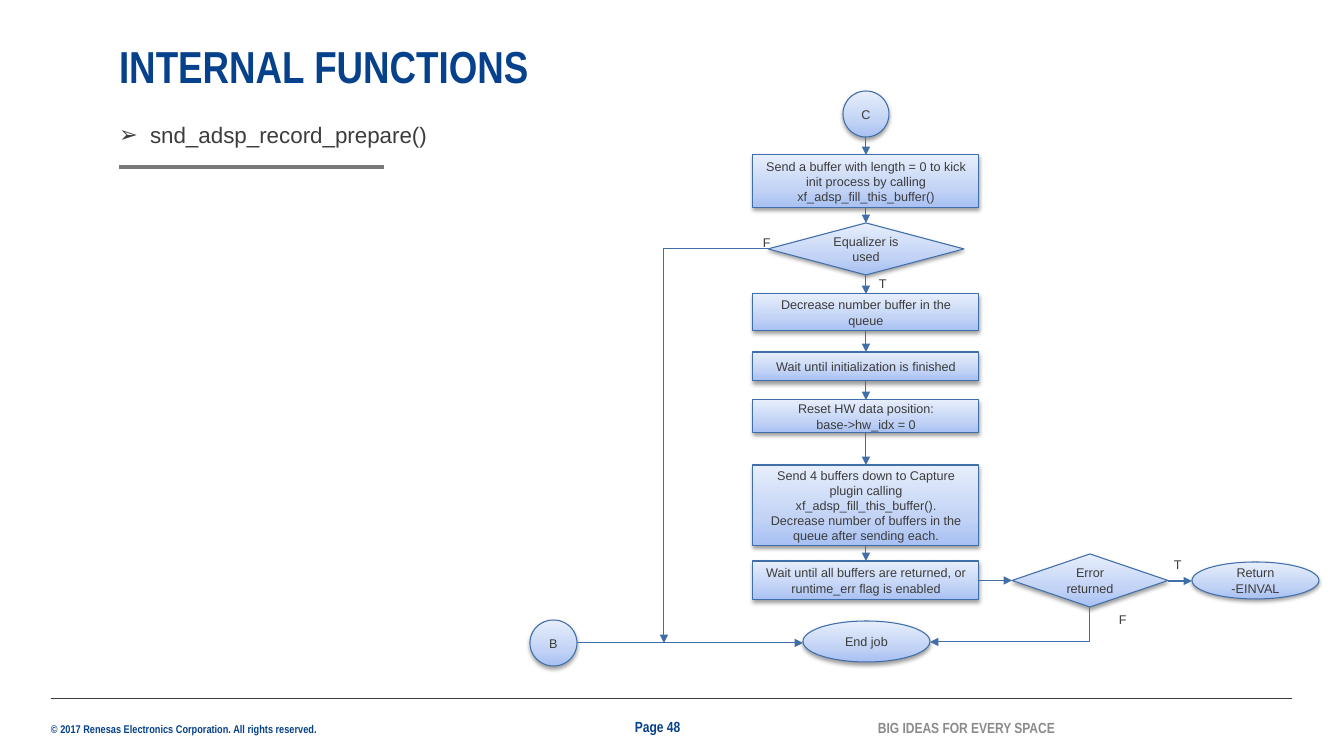
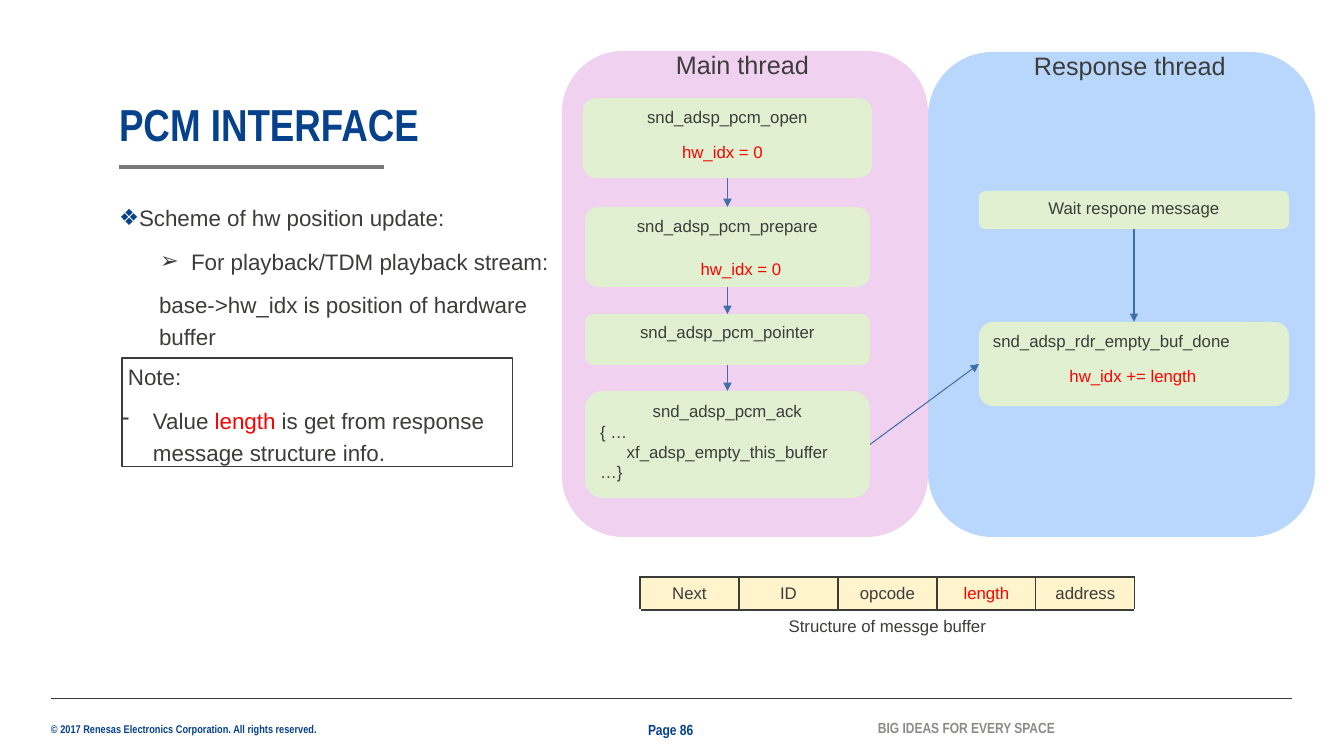
import dataclasses
import itertools

import lxml.etree
import pptx
import pptx.dml.color
import pptx.enum.shapes
import pptx.enum.text
import pptx.oxml.ns
import pptx.util

SCALE = 914400 / 100.8
NAVY, INK, BLUE, RED = "06418C", "3C3C3B", "406EA8", "FF0000"
RULE_GRAY, TAGLINE_GRAY = "797979", "8B8B89"
PINK, SKY, GREEN, CREAM = "F0D1F0", "B9D7FC", "E0F0D1", "FFF4CC"
NODE_STOPS = ((0, "A7C0F3"), (35, "C2D3F5"), (100, "E7EEFC"))
BODY, NARROW = "Arial", "Arial Narrow"
KIND = pptx.enum.shapes.MSO_SHAPE
LINK = pptx.enum.shapes.MSO_CONNECTOR
ANCHOR = pptx.enum.text.MSO_ANCHOR
ALIGN = {"l": pptx.enum.text.PP_ALIGN.LEFT, "c": pptx.enum.text.PP_ALIGN.CENTER}
TOP, LEFT, BOTTOM, RIGHT = range(4)


def px(length):
    """Turn pixels into EMU."""
    return pptx.util.Emu(round(length * SCALE))


def color(value):
    """Turn a hex string into a colour."""
    return pptx.dml.color.RGBColor.from_string(value)


def add_element(parent, tag, **attributes):
    """Append a drawing element with the given attributes."""
    name = pptx.oxml.ns.qn(f"a:{tag}")
    return lxml.etree.SubElement(parent, name, {key: str(value) for key, value in attributes.items()})


def add_solid(parent, value):
    """Append a solid fill."""
    add_element(add_element(parent, "solidFill"), "srgbClr", val=value)


def set_font(para, size, ink=INK, name=BODY, bold=False):
    """Set the font of a whole paragraph."""
    para.font.size = pptx.util.Pt(size)
    para.font.name = name
    para.font.bold = bold
    para.font.color.rgb = color(ink)


def prepare_frame(frame, anchor=ANCHOR.TOP, inset=None, wrap=True):
    """Set anchor, wrapping and margins of a text frame."""
    frame.auto_size = pptx.enum.text.MSO_AUTO_SIZE.NONE
    frame.word_wrap = wrap
    frame.vertical_anchor = anchor
    if inset is not None:
        frame.margin_left = frame.margin_right = px(inset)
        frame.margin_top = frame.margin_bottom = px(inset)


def write(frame, text, size, align="l", **font):
    """Write one paragraph per line, cycling through the alignments."""
    for index, (line, side) in enumerate(zip(text.split("\n"), itertools.cycle(align))):
        para = frame.add_paragraph() if index else frame.paragraphs[0]
        para.text = line
        para.alignment = ALIGN[side]
        set_font(para, size, **font)


def write_list(frame, items):
    """Write list items of level, left indent, hanging, mark, mark colour and spans."""
    prepare_frame(frame, inset=0)
    for index, (level, left, hanging, mark, mark_color, spans) in enumerate(items):
        para = frame.add_paragraph() if index else frame.paragraphs[0]
        para.level = level
        para.alignment = ALIGN["l"]
        para.line_spacing = 1.2
        para.space_before = pptx.util.Pt(0)
        para.space_after = pptx.util.Pt(8)
        properties = para._p.get_or_add_pPr()
        properties.set("marL", str(px(left)))
        properties.set("indent", str(px(-hanging)))
        if mark:
            add_element(add_element(properties, "buClr"), "srgbClr", val=mark_color)
            add_element(properties, "buChar", char=mark)
        else:
            add_element(properties, "buNone")
        set_font(para, 16)
        for text, ink in spans:
            span = para.add_run()
            span.text = text
            if ink != INK:
                span.font.color.rgb = color(ink)


def place(shape, left, top, width, height):
    """Move and size a shape."""
    shape.left, shape.top, shape.width, shape.height = map(px, (left, top, width, height))


@dataclasses.dataclass
class Region:
    """An area of a page whose parts are placed from its top left corner."""
    page: object
    left: int = 0
    top: int = 0

    def label(self, left, top, width, height, text, size, anchor=ANCHOR.TOP, inset=None, wrap=True, **font):
        """Add a text box."""
        box = self.page.shapes.add_textbox(*map(px, (self.left + left, self.top + top, width, height)))
        prepare_frame(box.text_frame, anchor, inset, wrap)
        write(box.text_frame, text, size, **font)

    def shape(self, kind, left, top, width, height, fill=None, line=None):
        """Add a flat shape."""
        shape = self.page.shapes.add_shape(kind, *map(px, (self.left + left, self.top + top, width, height)))
        shape.shadow.inherit = False
        if fill:
            shape.fill.solid()
            shape.fill.fore_color.rgb = color(fill)
        else:
            shape.fill.background()
        if line:
            shape.line.color.rgb = color(line)
            shape.line.width = pptx.util.Pt(0.75)
        else:
            shape.line.fill.background()
        return shape

    def line(self, x1, y1, x2, y2, ink=BLUE, width=0.75, arrow="tailEnd", bent=False):
        """Add a line, straight or with one corner, with an optional arrowhead."""
        kind = LINK.ELBOW if bent else LINK.STRAIGHT
        line = self.page.shapes.add_connector(
            kind, px(self.left + x1), px(self.top + y1), px(self.left + x2), px(self.top + y2))
        line.line.color.rgb = color(ink)
        line.line.width = pptx.util.Pt(width)
        properties = line._element.spPr
        if bent:
            properties.find(pptx.oxml.ns.qn("a:prstGeom")).set("prst", "bentConnector2")
        if arrow:
            add_element(line.line._get_or_add_ln(), arrow, type="triangle")
        add_element(properties, "effectLst")
        return line

    def join(self, start, start_side, end, end_side):
        """Join two shapes with an arrow."""
        arrow = self.line(0, 0, 1, 1)
        arrow.begin_connect(start, start_side)
        arrow.end_connect(end, end_side)

    def node(self, kind, left, top, width, height, text):
        """Add a shaded flow chart node."""
        node = self.shape(kind, left, top, width, height, line=BLUE)
        node.fill.gradient()
        node.fill.gradient_angle = 90
        properties = node._element.spPr
        stops = properties.find(".//" + pptx.oxml.ns.qn("a:gsLst"))
        stops.clear()
        for position, value in NODE_STOPS:
            add_element(add_element(stops, "gs", pos=position * 1000), "srgbClr", val=value)
        shadow = add_element(properties.find(pptx.oxml.ns.qn("a:effectLst")), "outerShdw",
                             blurRad=pptx.util.Pt(3.1), dist=pptx.util.Pt(1.6), dir=5400000, rotWithShape=0)
        add_element(add_element(shadow, "srgbClr", val="000000"), "alpha", val=38000)
        prepare_frame(node.text_frame, ANCHOR.MIDDLE)
        write(node.text_frame, text, 9, "c")
        return node

    def step(self, left, top, width, height, text, align="c"):
        """Add a rounded thread step."""
        step = self.shape(KIND.ROUNDED_RECTANGLE, left, top, width, height, GREEN)
        prepare_frame(step.text_frame)
        write(step.text_frame, text, 12, align)
        return step

    def update(self, left, top, width, height, text):
        """Add the red position update inside a step."""
        update = self.shape(KIND.RECTANGLE, left, top, width, height, GREEN)
        prepare_frame(update.text_frame, ANCHOR.MIDDLE)
        write(update.text_frame, text, 12, "c", ink=RED)


def add_page(deck, title, title_box, number, number_box, body_box, items):
    """Add a page with title, list, rules and footer."""
    page = deck.slides.add_slide(deck.slide_layouts[1])
    heading, body = page.placeholders[0], page.placeholders[1]
    place(heading, *title_box)
    prepare_frame(heading.text_frame, ANCHOR.BOTTOM, 0)
    write(heading.text_frame, title, 32, ink=NAVY, name=NARROW, bold=True)
    heading.text_frame.paragraphs[0].line_spacing = 0.9
    place(body, *body_box)
    write_list(body.text_frame, items)
    region = Region(page)
    region.line(51, 698, 1292, 698, INK, 0.5, None)
    region.line(119, 167, 384, 167, RULE_GRAY, 3, None)
    footer = dict(inset=0, name=NARROW, bold=True)
    region.label(51, 722, 270, 13, "© 2017 Renesas Electronics Corporation. All rights reserved.", 8,
                 wrap=False, ink=NAVY, **footer)
    region.label(*number_box, f"Page {number}", 10.5, ANCHOR.MIDDLE, ink=NAVY, **footer)
    region.label(878, 719, 181, 18, "BIG IDEAS FOR EVERY SPACE", 10.5, ANCHOR.MIDDLE, ink=TAGLINE_GRAY, **footer)
    return page


def add_flow_chart(page, left, top):
    """Draw the record prepare flow chart."""
    region = Region(page, left, top)
    center = 336
    region.node(KIND.OVAL, center - 23, 0, 46, 46, "C")
    column = [region.node(kind, center - width / 2, y, width, height, text) for kind, width, y, height, text in (
        (KIND.RECTANGLE, 226, 64, 53,
         "Send a buffer with length = 0 to kick init process by calling xf_adsp_fill_this_buffer()"),
        (KIND.FLOWCHART_DECISION, 196, 132, 52, "Equalizer is used"),
        (KIND.RECTANGLE, 226, 203, 37, "Decrease number buffer in the queue"),
        (KIND.RECTANGLE, 226, 261, 29, "Wait until initialization is finished"),
        (KIND.RECTANGLE, 226, 309, 33, "Reset HW data position:\nbase->hw_idx = 0"),
        (KIND.RECTANGLE, 226, 374, 81,
         "Send 4 buffers down to Capture plugin calling xf_adsp_fill_this_buffer().\n"
         "Decrease number of buffers in the queue after sending each."),
        (KIND.RECTANGLE, 226, 470, 39, "Wait until all buffers are returned, or\nruntime_err flag is enabled"),
    )]
    error = region.node(KIND.FLOWCHART_DECISION, 482, 463, 156, 53, "Error returned")
    region.node(KIND.OVAL, 662, 471, 127, 37, "Return\n-EINVAL")
    region.node(KIND.OVAL, 273, 530, 127, 41, "End job")
    region.node(KIND.OVAL, 0, 529, 47, 46, "B")
    region.line(center, 46, center, 64)
    for upper, lower in zip(column, column[1:]):
        region.join(upper, BOTTOM, lower, TOP)
    region.join(column[-1], RIGHT, error, LEFT)
    region.line(638, 490, 662, 490)
    region.line(47, 552, 273, 552)
    region.line(238, 158, 134, 552, bent=True)
    region.line(400, 551, 560, 516, arrow="headEnd", bent=True)
    for x, y, text in ((223, 139, "F"), (339, 180, "T"), (634, 461, "T"), (579, 516, "F")):
        region.label(x, y, 32, 25, text, 9)


def add_thread(page, left, top, width, height, fill, title, title_left):
    """Draw the panel of a thread and return its region."""
    region = Region(page, left, top)
    region.shape(KIND.ROUNDED_RECTANGLE, 0, 0, width, height, fill)
    region.label(title_left, -7, 214, 40, title, 18, wrap=False)
    return region


def add_threads(page, left, top):
    """Draw the main and response threads with their steps."""
    response = add_thread(page, left + 366, top + 1, 387, 485, SKY, "Response thread", 96)
    main_thread = add_thread(page, left, top, 366, 486, PINK, "Main thread", 104)
    steps = [main_thread.step(*step) for step in (
        (21, 47, 289, 80, "snd_adsp_pcm_open"),
        (23, 156, 285, 80, "snd_adsp_pcm_prepare"),
        (23, 263, 285, 51, "snd_adsp_pcm_pointer"),
        (23, 340, 285, 107, "snd_adsp_pcm_ack\n{ …\nxf_adsp_empty_this_buffer\n…}", "cl"),
    )]
    main_thread.update(41, 81, 239, 40, "hw_idx = 0")
    main_thread.update(87, 200, 184, 36, "hw_idx = 0")
    wait = response.step(51, 139, 310, 38, "Wait respone message")
    done = response.step(51, 270, 310, 84, "snd_adsp_rdr_empty_buf_done", "l")
    response.update(100, 306, 210, 35, "hw_idx += length")
    for upper, lower in [*zip(steps, steps[1:]), (wait, done)]:
        main_thread.join(upper, BOTTOM, lower, TOP)
    main_thread.join(steps[-1], RIGHT, done, LEFT)


def add_note(page, left, top, width, height):
    """Draw the framed note."""
    note = Region(page, left, top).shape(KIND.RECTANGLE, 0, 0, width, height, line=INK)
    write_list(note.text_frame, [
        (0, 6, 0, None, None, [("Note:", INK)]),
        (0, 31, 31, "-", INK, [("Value ", INK), ("length", RED),
                               (" is get from response message structure info.", INK)]),
    ])


def add_message_table(page, left, top, column_width, row_height):
    """Draw the message structure with its caption row."""
    fields = ("Next", "ID", "opcode", "length", "address")
    count = len(fields)
    table = page.shapes.add_table(
        2, count, *map(px, (left, top, count * column_width, 2 * row_height))).table
    table.first_row = table.horz_banding = False
    table.cell(1, 0).merge(table.cell(1, count - 1))
    captions = [(table.cell(0, index), field) for index, field in enumerate(fields)]
    for cell, text in [*captions, (table.cell(1, 0), "Structure of messge buffer")]:
        cell.vertical_anchor = ANCHOR.MIDDLE
        cell.margin_left = cell.margin_right = px(6)
        cell.margin_top = cell.margin_bottom = px(3)
        write(cell.text_frame, text, 12, "c", ink=RED if text == "length" else INK)
        properties = cell._tc.get_or_add_tcPr()
        for side in ("lnT",) if cell.is_merge_origin else ("lnL", "lnR", "lnT", "lnB"):
            add_solid(add_element(properties, side, w=pptx.util.Pt(1)), INK)
        if cell.is_merge_origin:
            cell.fill.background()
        else:
            cell.fill.solid()
            cell.fill.fore_color.rgb = color(CREAM)


def main():
    """Build and save the deck."""
    deck = pptx.Presentation()
    deck.slide_width, deck.slide_height = px(1344), px(756)
    page = add_page(deck, "INTERNAL FUNCTIONS", (119, 44, 1093, 49), 48, (635, 718, 74, 18), (119, 116, 656, 32),
                    [(0, 31, 31, "➢", INK, [("snd_adsp_record_prepare()", INK)])])
    add_flow_chart(page, 530, 91)
    page = add_page(deck, "PCM INTERFACE", (119, 103, 992, 48), 86, (648, 721, 74, 18), (119, 199, 440, 155), [
        (1, 20, 20, "❖", NAVY, [("Scheme of hw position update:", INK)]),
        (3, 72, 31, "➢", INK, [("For playback/TDM playback stream:", INK)]),
        (3, 40, 0, None, None, [("base->hw_idx is position of hardware buffer", INK)]),
    ])
    add_threads(page, 562, 51)
    add_note(page, 122, 358, 391, 109)
    add_message_table(page, 640, 577, 99, 33)
    deck.save("out.pptx")


if __name__ == "__main__":
    main()
